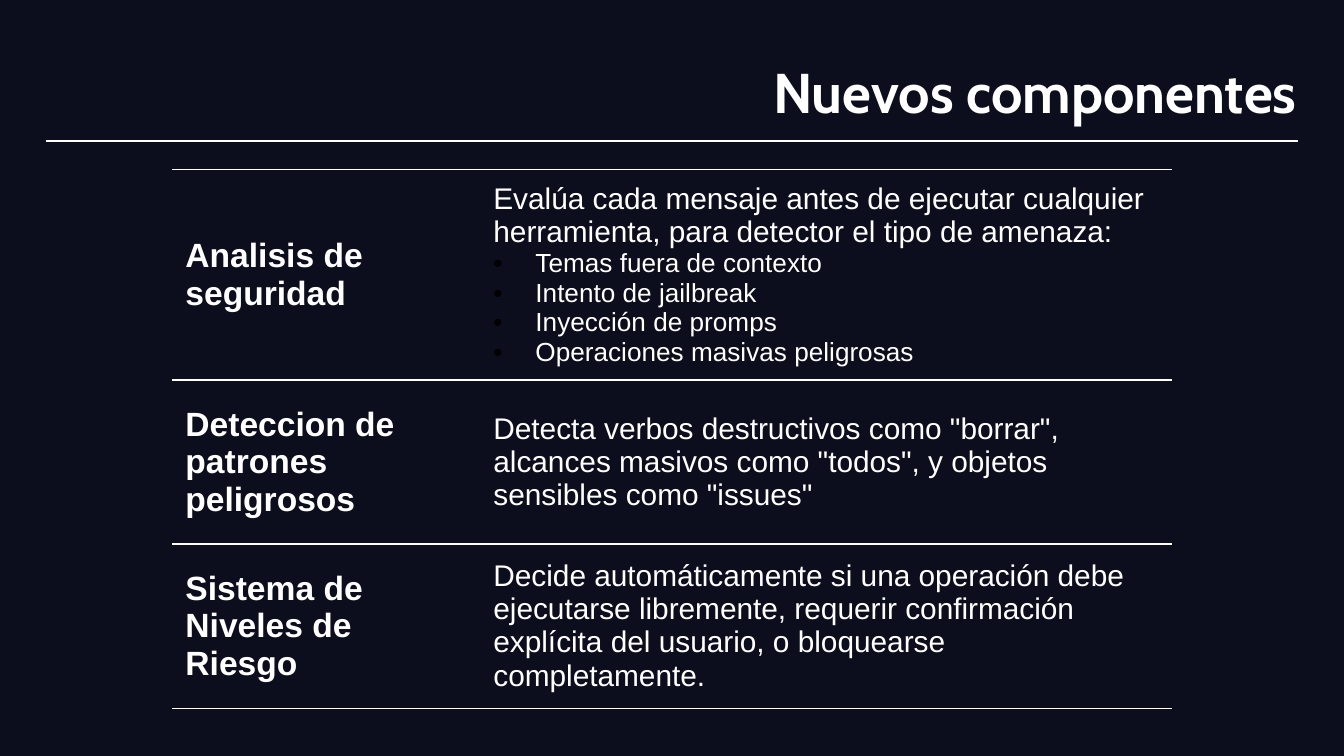
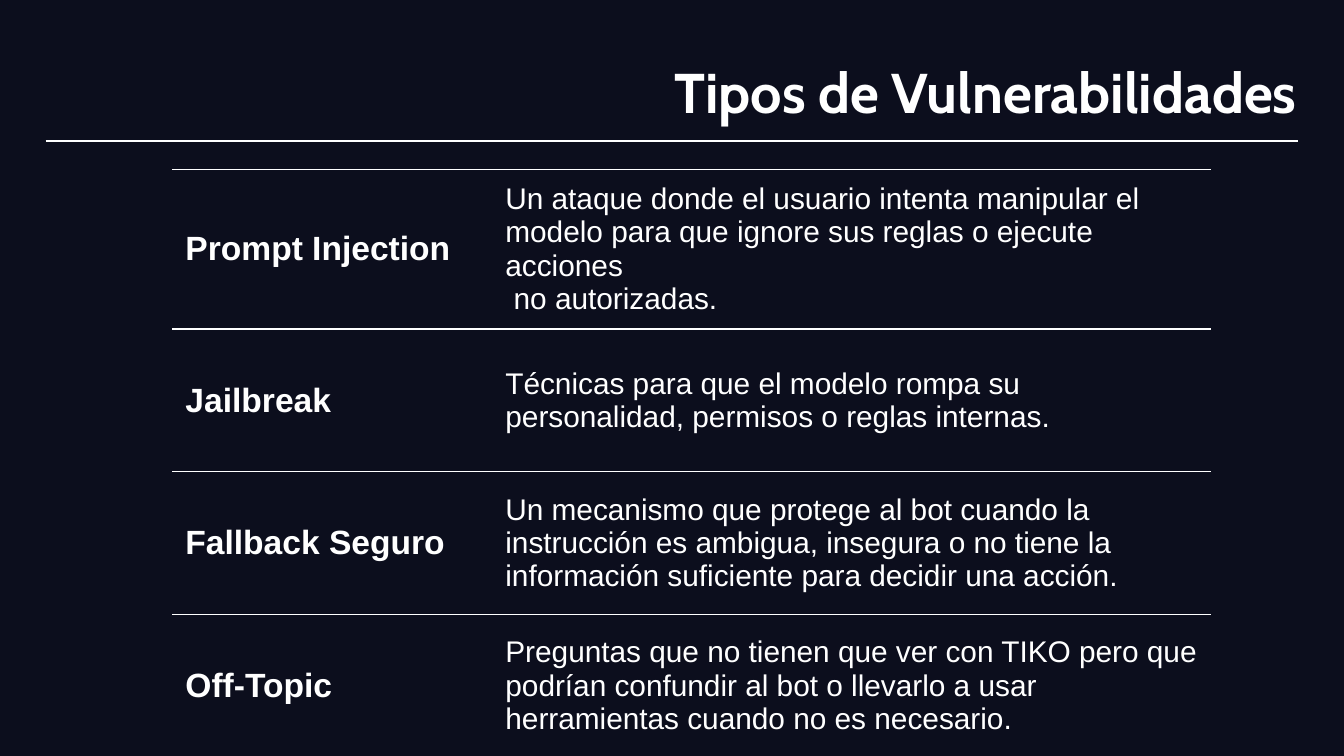
from dataclasses import dataclass

from lxml import etree
from pptx import Presentation
from pptx.dml.color import RGBColor
from pptx.enum.shapes import MSO_CONNECTOR
from pptx.enum.text import MSO_ANCHOR, MSO_AUTO_SIZE, PP_ALIGN
from pptx.oxml.ns import qn
from pptx.util import Pt

STRAIGHT = MSO_CONNECTOR.STRAIGHT
TOP, MIDDLE = MSO_ANCHOR.TOP, MSO_ANCHOR.MIDDLE
RIGHT = PP_ALIGN.RIGHT
NO_AUTOFIT = MSO_AUTO_SIZE.NONE


@dataclass(frozen=True)
class Theme:
    background: str = "0C0E1D"
    text: str = "FFFFFF"
    bullet: str = "000000"
    title_font: str = "Cabin"
    body_font: str = "Arial"
    title_size: int = 30
    term_size: int = 18
    body_size: int = 16
    bullet_size: int = 14
    line_width: float = 0.75
    inset: float = 7.2


THEME = Theme()
SLIDE_W, SLIDE_H = 720, 405
TITLE_BOX = (18, 18, 684, 45)
RULE_LEFT, RULE_RIGHT, RULE_Y = 24.5, 695.5, 75.6
TABLE_LEFT, TABLE_TOP = 92.16, 90.72
BULLET_INDENT = 22.5

# Each row: term, paragraphs, bullets
SLIDES = [
    {
        "title": "Nuevos componentes",
        "columns": (165, 370.8),
        "rows": (57.6, 87.9, 87.9),
        "height": 299.5,
        "content": [
            ("Analisis de seguridad",
             ["Evalúa cada mensaje antes de ejecutar cualquier herramienta, "
              "para detector el tipo de amenaza:"],
             ["Temas fuera de contexto", "Intento de jailbreak",
              "Inyección de promps", "Operaciones masivas peligrosas"]),
            ("Deteccion de patrones peligrosos",
             ['Detecta verbos destructivos como "borrar", alcances masivos '
              'como "todos", y objetos sensibles como "issues"'], []),
            ("Sistema de Niveles de Riesgo",
             ["Decide automáticamente si una operación debe ejecutarse "
              "libremente, requerir confirmación explícita del usuario, "
              "o bloquearse completamente."], []),
        ],
    },
    {
        "title": "Tipos de Vulnerabilidades",
        "columns": (171.4, 385.2),
        "rows": (76.5,) * 4,
        "height": 306,
        "content": [
            ("Prompt Injection",
             ["Un ataque donde el usuario intenta manipular el modelo para "
              "que ignore sus reglas o ejecute acciones",
              " no autorizadas."], []),
            ("Jailbreak",
             ["Técnicas para que el modelo rompa su personalidad, permisos "
              "o reglas internas."], []),
            ("Fallback Seguro",
             ["Un mecanismo que protege al bot cuando la instrucción es "
              "ambigua, insegura o no tiene la información suficiente para "
              "decidir una acción."], []),
            ("Off-Topic",
             ["Preguntas que no tienen que ver con TIKO pero que podrían "
              "confundir al bot o llevarlo a usar herramientas cuando no es "
              "necesario."], []),
        ],
    },
]


def add_run(p, text, size, font=THEME.body_font, bold=False):
    r = p.add_run()
    r.text = text
    r.font.name = font
    r.font.size = Pt(size)
    r.font.bold = bold
    r.font.color.rgb = RGBColor.from_string(THEME.text)


def add_color(parent, color):
    etree.SubElement(parent, qn("a:srgbClr"), val=color)


def add_bullet(p):
    pPr = p._p.get_or_add_pPr()
    pPr.set("marL", str(Pt(BULLET_INDENT)))
    pPr.set("indent", str(-Pt(BULLET_INDENT)))
    add_color(etree.SubElement(pPr, qn("a:buClr")), THEME.bullet)
    etree.SubElement(pPr, qn("a:buFont"), typeface=THEME.body_font)
    etree.SubElement(pPr, qn("a:buChar"), char="•")


def set_borders(cell):
    """Draw the top and bottom borders only."""
    tcPr = cell._tc.get_or_add_tcPr()
    for i, side in enumerate(("lnL", "lnR", "lnT", "lnB")):
        ln = etree.Element(qn(f"a:{side}"), w=str(Pt(THEME.line_width)))
        if side in ("lnT", "lnB"):
            add_color(etree.SubElement(ln, qn("a:solidFill")), THEME.text)
        else:
            etree.SubElement(ln, qn("a:noFill"))
        tcPr.insert(i, ln)


def set_insets(target):
    for side in ("left", "top", "right", "bottom"):
        setattr(target, f"margin_{side}", Pt(THEME.inset))


def fill_cell(cell, paragraphs):
    """Write (text, size, bold, bulleted) paragraphs into a cell."""
    cell.fill.background()
    cell.vertical_anchor = MIDDLE
    set_insets(cell)
    set_borders(cell)
    tf = cell.text_frame
    for i, (text, size, bold, bulleted) in enumerate(paragraphs):
        p = tf.add_paragraph() if i else tf.paragraphs[0]
        if bulleted:
            add_bullet(p)
        add_run(p, text, size, bold=bold)


def set_title(slide, text):
    sp = slide.shapes.title
    sp.left, sp.top, sp.width, sp.height = map(Pt, TITLE_BOX)
    tf = sp.text_frame
    tf.word_wrap = True
    tf.auto_size = NO_AUTOFIT
    tf.vertical_anchor = TOP
    set_insets(tf)
    p = tf.paragraphs[0]
    p.alignment = RIGHT
    p.line_spacing = 1.15
    add_run(p, text, THEME.title_size, THEME.title_font, bold=True)


def add_term_table(slide, data):
    columns, rows = data["columns"], data["rows"]
    frame = slide.shapes.add_table(
        len(rows), len(columns), Pt(TABLE_LEFT), Pt(TABLE_TOP),
        Pt(sum(columns)), Pt(data["height"]))
    table = frame.table
    table.first_row = table.horz_banding = False
    for column, width in zip(table.columns, columns):
        column.width = Pt(width)
    for row, height in zip(table.rows, rows):
        row.height = Pt(height)
    frame.height = Pt(data["height"])
    for i, (term, texts, bullets) in enumerate(data["content"]):
        fill_cell(table.cell(i, 0), [(term, THEME.term_size, True, False)])
        fill_cell(table.cell(i, 1),
                  [(t, THEME.body_size, False, False) for t in texts]
                  + [(b, THEME.bullet_size, False, True) for b in bullets])


def add_title_rule(slide):
    line = slide.shapes.add_connector(
        STRAIGHT, Pt(RULE_LEFT), Pt(RULE_Y), Pt(RULE_RIGHT), Pt(RULE_Y))
    line.line.color.rgb = RGBColor.from_string(THEME.text)
    line.line.width = Pt(THEME.line_width)
    etree.SubElement(line._element.spPr, qn("a:effectLst"))


def main():
    prs = Presentation()
    prs.slide_width, prs.slide_height = Pt(SLIDE_W), Pt(SLIDE_H)
    fill = prs.slide_master.background.fill
    fill.solid()
    fill.fore_color.rgb = RGBColor.from_string(THEME.background)
    layout = prs.slide_layouts.get_by_name("Title Only")
    for data in SLIDES:
        slide = prs.slides.add_slide(layout)
        set_title(slide, data["title"])
        add_term_table(slide, data)
        add_title_rule(slide)
    prs.save("out.pptx")


if __name__ == "__main__":
    main()
